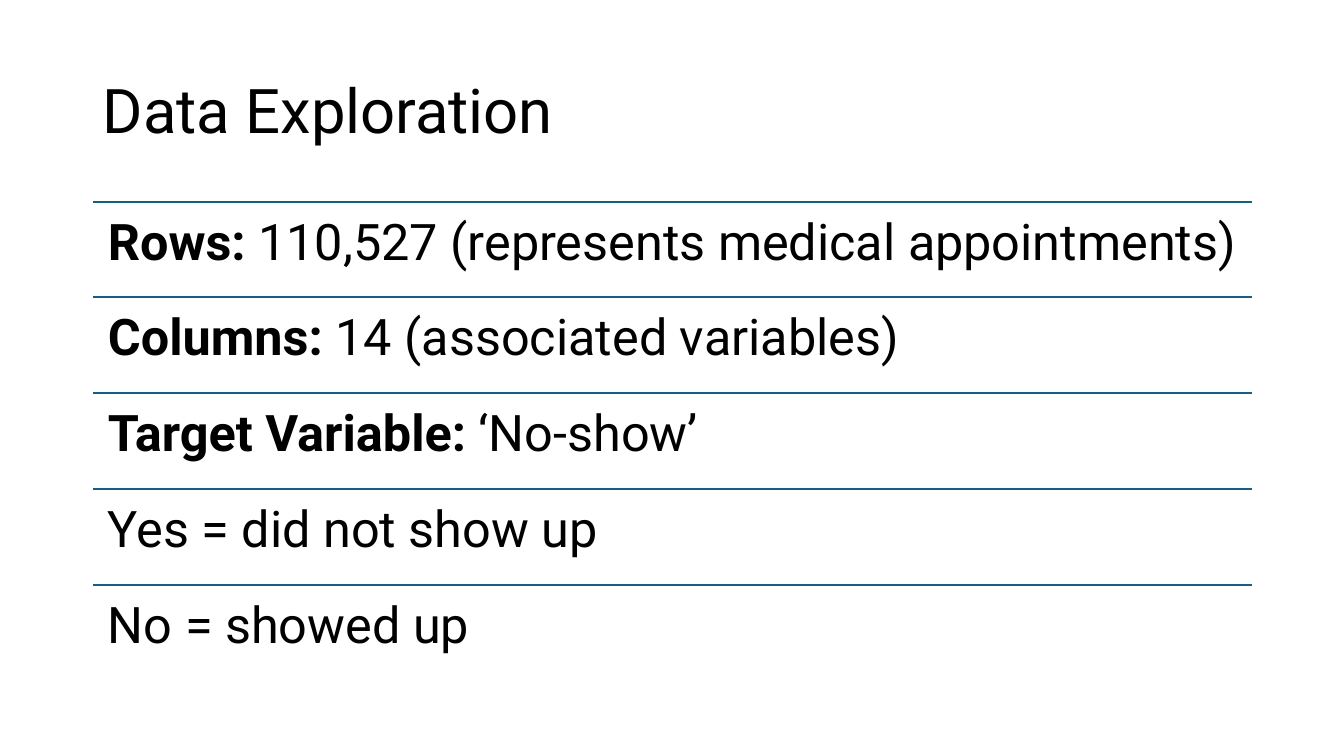
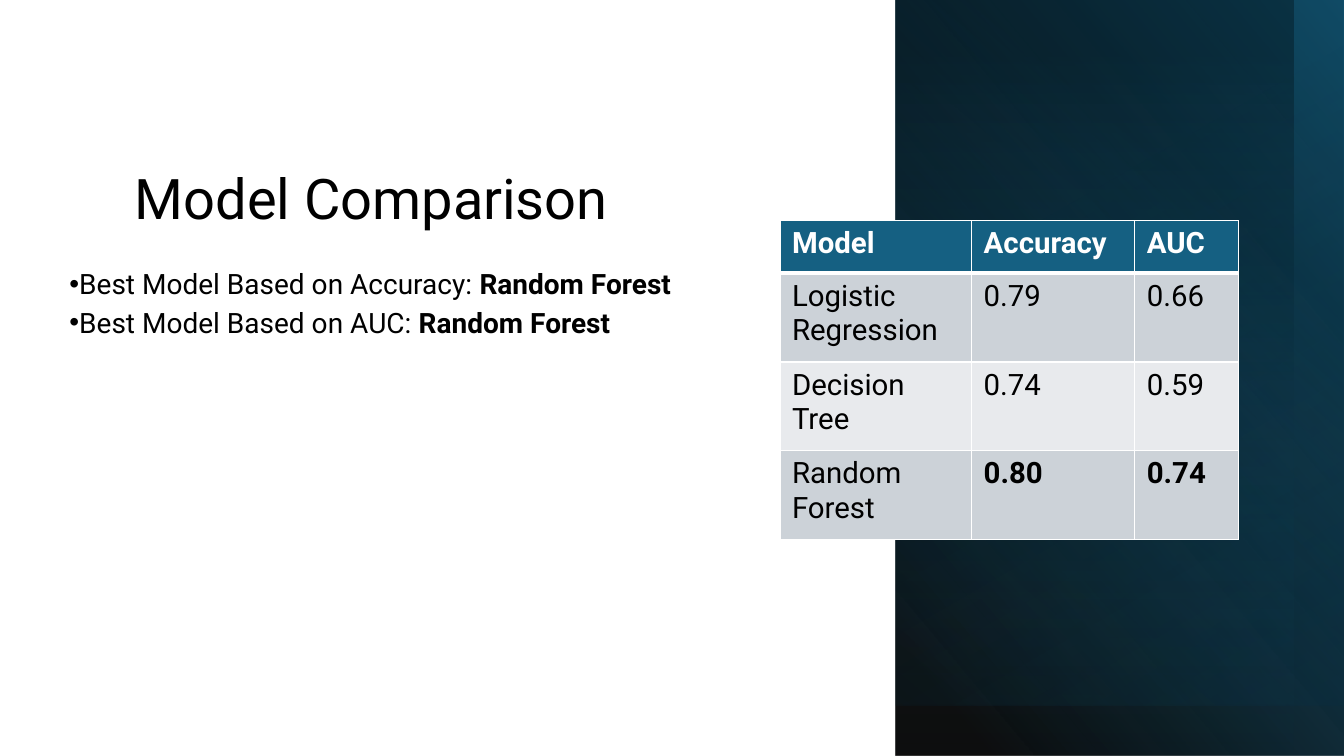
from dataclasses import dataclass

from lxml import etree
from pptx import Presentation
from pptx.dml.color import RGBColor
from pptx.enum.shapes import MSO_CONNECTOR, MSO_SHAPE
from pptx.enum.text import MSO_ANCHOR
from pptx.oxml import parse_xml
from pptx.oxml.ns import nsdecls, qn
from pptx.util import Cm, Pt

LINE = MSO_CONNECTOR.STRAIGHT
RECT = MSO_SHAPE.RECTANGLE
TOP, MIDDLE, BOTTOM = MSO_ANCHOR.TOP, MSO_ANCHOR.MIDDLE, MSO_ANCHOR.BOTTOM


@dataclass(frozen=True)
class Theme:
    font: str = "Roboto"
    text: str = "000000"
    accent: str = "156082"
    deep: str = "0B3041"
    white: str = "FFFFFF"
    bands: tuple = ("CCD2D8", "E8EAED")
    title: int = 44
    side_title: int = 40
    fact: int = 36
    cell: int = 21
    bullet: int = 20


T = Theme()

# Each paragraph is a list of (text, bold) runs.
FACTS = [
    [("Rows: ", True), ("110,527 (represents medical appointments)", False)],
    [("Columns: ", True), ("14 (associated variables)", False)],
    [("Target Variable: ", True), ("‘No-show’", False)],
    [("Yes = did not show up", False)],
    [("No = showed up", False)],
]
FINDINGS = [
    [("Best Model Based on Accuracy: ", False), ("Random Forest", True)],
    [("Best Model Based on AUC: ", False), ("Random Forest", True)],
]
SCORES = [
    ("Model", "Accuracy", "AUC"),
    ("Logistic Regression", "0.79", "0.66"),
    ("Decision Tree", "0.74", "0.59"),
    ("Random Forest", "0.80", "0.74"),
]
BEST_ROW = 3
COLUMN_WIDTHS = (4.83, 4.11, 2.62)
HEADER_HEIGHT, ROW_HEIGHT = 1.32, 2.24

# Panel layers: width, height, angle, stops of (position %, colour, opacity %).
PANEL_LEFT = 22.56
PANEL_LAYERS = [
    (11.38, 19.05, 40, [(8, T.text, 94), (100, T.accent, 100)]),
    (11.38, 17.78, 300, [(31, T.deep, 0), (100, T.deep, 26)]),
    (11.3, 17.78, 50, [(0, T.accent, 0), (72, T.text, 21)]),
    (10.03, 19.05, 90, [(0, T.accent, 0), (93, T.text, 29)]),
]


def add_run(p, text, size, bold=False, color=T.text):
    r = p.add_run()
    r.text = text
    r.font.name = T.font
    r.font.size = Pt(size)
    r.font.bold = bold
    r.font.color.rgb = RGBColor.from_string(color)


def set_insets(frame, x, y):
    frame.margin_left = frame.margin_right = Cm(x)
    frame.margin_top = frame.margin_bottom = Cm(y)


def add_text(slide, box, paragraphs, size, anchor=TOP, insets=(0.25, 0.13), bulleted=False):
    tf = slide.shapes.add_textbox(*map(Cm, box)).text_frame
    tf.word_wrap = True
    tf.vertical_anchor = anchor
    set_insets(tf, *insets)
    for i, runs in enumerate(paragraphs):
        p = tf.add_paragraph() if i else tf.paragraphs[0]
        p.line_spacing = 0.9
        if bulleted:
            p.space_after = Pt(6)
            add_bullet(p)
        for text, bold in runs:
            add_run(p, text, size, bold)


def add_bullet(p):
    pPr = p._p.get_or_add_pPr()
    pPr.set("marL", "0")
    pPr.set("indent", str(-Cm(0.64)))
    etree.SubElement(pPr, qn("a:buFont")).set("typeface", "Arial")
    etree.SubElement(pPr, qn("a:buChar")).set("char", "•")


def add_title(slide, text, box, size, anchor):
    add_text(slide, box, [[(text, False)]], size, anchor)


def add_rule(slide, left, top, width):
    line = slide.shapes.add_connector(LINE, Cm(left), Cm(top), Cm(left + width), Cm(top))
    line.line.color.rgb = RGBColor.from_string(T.accent)
    line.line.width = Pt(1.5)
    etree.SubElement(line._element.spPr, qn("a:effectLst"))


def add_panel_layer(slide, width, height, angle, stops):
    sp = slide.shapes.add_shape(RECT, Cm(PANEL_LEFT), 0, Cm(width), Cm(height))
    sp.rotation = 180
    sp.line.fill.background()
    sp.shadow.inherit = False
    spPr = sp._element.spPr
    spPr.find(qn("a:xfrm")).set("flipH", "1")
    stop_xml = "".join(
        f'<a:gs pos="{pos * 1000}"><a:srgbClr val="{color}">'
        f'<a:alpha val="{opacity * 1000}"/></a:srgbClr></a:gs>'
        for pos, color, opacity in stops
    )
    gradient = parse_xml(
        f'<a:gradFill {nsdecls("a")} rotWithShape="1"><a:gsLst>{stop_xml}</a:gsLst>'
        f'<a:lin ang="{angle * 60000}" scaled="0"/></a:gradFill>'
    )
    spPr.find(qn("a:prstGeom")).addnext(gradient)


def set_borders(cell, top, bottom):
    """Draw white cell borders; top and bottom are widths in points."""
    tcPr = cell._tc.get_or_add_tcPr()
    for side, width in (("L", 1), ("R", 1), ("T", top), ("B", bottom)):
        tcPr.append(parse_xml(
            f'<a:ln{side} {nsdecls("a")} w="{Pt(width)}"><a:solidFill>'
            f'<a:srgbClr val="{T.white}"/></a:solidFill></a:ln{side}>'
        ))


def add_score_table(slide, left, top):
    heights = [HEADER_HEIGHT] + [ROW_HEIGHT] * (len(SCORES) - 1)
    table = slide.shapes.add_table(
        len(SCORES), len(COLUMN_WIDTHS), Cm(left), Cm(top),
        Cm(sum(COLUMN_WIDTHS)), Cm(sum(heights)),
    ).table
    for column, width in zip(table.columns, COLUMN_WIDTHS):
        column.width = Cm(width)
    for i, (row, height) in enumerate(zip(SCORES, heights)):
        table.rows[i].height = Cm(height)
        header = i == 0
        fill = T.accent if header else T.bands[(i - 1) % 2]
        for j, text in enumerate(row):
            cell = table.cell(i, j)
            set_insets(cell, 0.3, 0.15)
            set_borders(cell, top=3 if i == 1 else 1, bottom=3 if header else 1)
            cell.fill.solid()
            cell.fill.fore_color.rgb = RGBColor.from_string(fill)
            bold = header or (i == BEST_ROW and j > 0)
            add_run(cell.text_frame.paragraphs[0], text, T.cell, bold,
                    T.white if header else T.text)


def build_exploration(slide):
    left, top, width, step = 2.34, 5.08, 29.21, 2.413
    add_title(slide, "Data Exploration", (left, 1.02, width, 3.68), T.title, MIDDLE)
    for i, fact in enumerate(FACTS):
        y = top + i * step
        add_rule(slide, left, y, width)
        add_text(slide, (left, y, width, step), [fact], T.fact, insets=(0.38, 0.38))


def build_comparison(slide):
    add_title(slide, "Model Comparison", (3.15, 1.4, 14.78, 4.57), T.side_title, BOTTOM)
    add_text(slide, (1.5, 6.68, 16.43, 9.83), FINDINGS, T.bullet, bulleted=True)
    for layer in PANEL_LAYERS:
        add_panel_layer(slide, *layer)
    add_score_table(slide, 19.66, 5.56)


def main():
    prs = Presentation()
    prs.slide_width, prs.slide_height = Cm(33.87), Cm(19.05)
    blank = prs.slide_layouts[6]
    for build in (build_exploration, build_comparison):
        build(prs.slides.add_slide(blank))
    prs.save("out.pptx")


if __name__ == "__main__":
    main()
